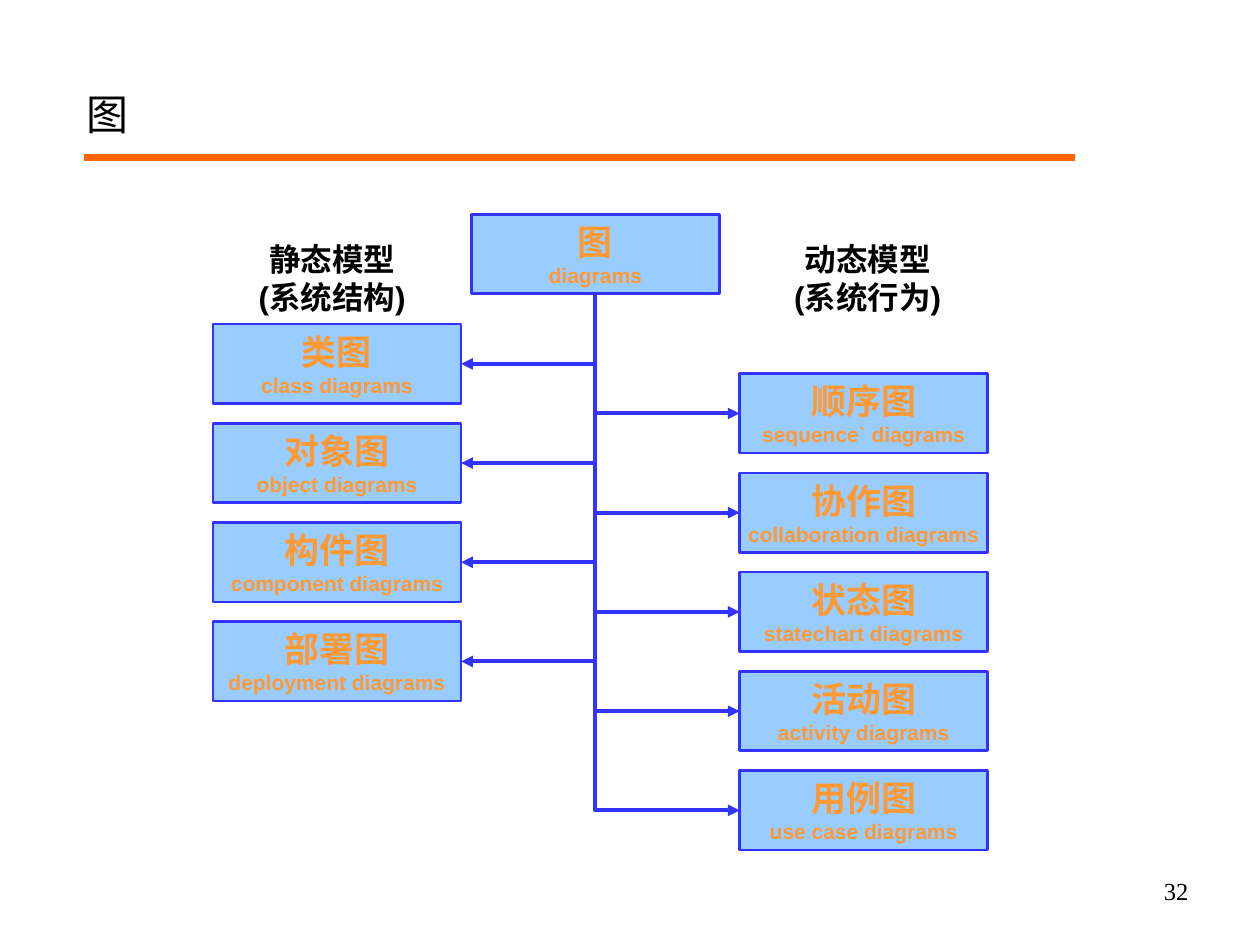
from collections import namedtuple

from lxml.etree import SubElement
from pptx import Presentation
from pptx.dml.color import RGBColor
from pptx.enum.shapes import MSO_CONNECTOR as Link, MSO_SHAPE as Shape
from pptx.enum.text import MSO_ANCHOR as Anchor, PP_ALIGN as Align
from pptx.oxml.ns import qn
from pptx.util import Inches, Pt

BLACK = RGBColor(0x00, 0x00, 0x00)
ORANGE = RGBColor(0xFF, 0x66, 0x00)
AMBER = RGBColor(0xFF, 0x99, 0x33)
BLUE = RGBColor(0x33, 0x33, 0xFF)
SKY = RGBColor(0x99, 0xCC, 0xFF)

WIDTH, HEIGHT = Inches(10), Inches(7.5)
PITCH = 10.5
NODE_WIDTH, NODE_HEIGHT = 19.7, 0.8 * PITCH
BOTTOM, LEFT, RIGHT = 2, 1, 3

Box = namedtuple("Box", "left top width height")

STATIC = [
    ("类图", "class diagrams"),
    ("对象图", "object diagrams"),
    ("构件图", "component diagrams"),
    ("部署图", "deployment diagrams"),
]
DYNAMIC = [
    ("顺序图", "sequence` diagrams"),
    ("协作图", "collaboration diagrams"),
    ("状态图", "statechart diagrams"),
    ("活动图", "activity diagrams"),
    ("用例图", "use case diagrams"),
]


def place(box):
    """Turn a box in percent of the slide into lengths."""
    return (
        int(box.left * WIDTH / 100),
        int(box.top * HEIGHT / 100),
        int(box.width * WIDTH / 100),
        int(box.height * HEIGHT / 100),
    )


def write(para, text, size, font="Arial", color=BLACK, bold=False, align=Align.CENTER):
    """Fill a paragraph with formatted text, one line for each line of the text."""
    para.alignment = align
    for number, line in enumerate(text.split("\n")):
        if number:
            para.add_line_break()
        span = para.add_run()
        span.text = line
        span.font.size = Pt(size)
        span.font.name = font
        span.font.bold = bold
        span.font.color.rgb = color


def add_text(page, box, text, size, anchor=Anchor.TOP, space=0, **style):
    """Add a wrapped text box with one paragraph."""
    frame = page.shapes.add_textbox(*place(box)).text_frame
    frame.word_wrap = True
    frame.vertical_anchor = anchor
    para = frame.paragraphs[0]
    para.space_before = Pt(space)
    write(para, text, size, **style)


def style_line(line, color, width):
    """Colour a connector, set its width and remove its shadow."""
    line.line.color.rgb = color
    line.line.width = Pt(width)
    SubElement(line._element.spPr, qn("a:effectLst"))


def add_title(page, box, text):
    """Add the title and the rule beneath it."""
    add_text(page, box, text, 24, anchor=Anchor.MIDDLE, font="Times New Roman", align=Align.LEFT)
    left, top, width, height = place(Box(6.7, 16.67, 78.6, 0))
    rule = page.shapes.add_connector(Link.STRAIGHT, left, top, left + width, top)
    style_line(rule, ORANGE, 4)


def add_node(page, box, name, english):
    """Add a diagram type with its two names."""
    node = page.shapes.add_shape(Shape.RECTANGLE, *place(box))
    node.shadow.inherit = False
    node.fill.solid()
    node.fill.fore_color.rgb = SKY
    node.line.color.rgb = BLUE
    node.line.width = Pt(1.5)
    frame = node.text_frame
    frame.word_wrap = False
    frame.vertical_anchor = Anchor.MIDDLE
    write(frame.paragraphs[0], name, 20, color=AMBER, bold=True)
    write(frame.add_paragraph(), english, 12, color=AMBER, bold=True)
    return node


def add_branch(page, root, node, side):
    """Join the bottom of the root to a side of the node with one bend."""
    start_x, start_y = root.left + root.width // 2, root.top + root.height
    end_x = node.left if side == LEFT else node.left + node.width
    end_y = node.top + node.height // 2
    drop, run = end_y - start_y, abs(end_x - start_x)
    branch = page.shapes.add_connector(Link.ELBOW, start_x, start_y, end_x, end_y)
    branch.begin_connect(root, BOTTOM)
    branch.end_connect(node, side)
    branch.left = (start_x + end_x - drop) // 2
    branch.top = (start_y + end_y - run) // 2
    branch.width, branch.height = drop, run
    properties = branch._element.spPr
    turn = properties.find(qn("a:xfrm"))
    turn.set("rot", "16200000" if side == LEFT else "5400000")
    turn.set("flipH", "1" if side == LEFT else "0")
    properties.find(qn("a:prstGeom")).set("prst", "bentConnector2")
    style_line(branch, BLUE, 2.25)
    SubElement(branch.line._get_or_add_ln(), qn("a:tailEnd"), type="triangle")


def add_model(page, box, root, diagrams, side):
    """Stack the diagrams of one model in a box and join each to the root."""
    pitch = box.height / len(diagrams)
    for row, names in enumerate(diagrams):
        cell = Box(box.left, box.top + row * pitch, box.width, 0.8 * pitch)
        add_branch(page, root, add_node(page, cell, *names), side)


def main():
    """Build the slide and save it."""
    deck = Presentation()
    deck.slide_width, deck.slide_height = WIDTH, HEIGHT
    page = deck.slides.add_slide(deck.slide_layouts[6])

    add_title(page, Box(5.9, 3.7, 85, 16.7), "图")
    root = add_node(page, Box(37.4, 22.7, NODE_WIDTH, NODE_HEIGHT), "图", "diagrams")
    models = [
        (16.9, 34.3, STATIC, RIGHT, 16.9, "静态模型\n(系统结构)"),
        (58.7, 34.3 + PITCH / 2, DYNAMIC, LEFT, 59.4, "动态模型\n(系统行为)"),
    ]
    for left, top, diagrams, side, heading_left, heading in models:
        box = Box(left, top, NODE_WIDTH, PITCH * len(diagrams))
        add_model(page, box, root, diagrams, side)
        add_text(page, Box(heading_left, 24.8, 18.9, 9.3), heading, 18, space=11.2, bold=True)
    number = Box(72, 92, 23.3, 5.9)
    add_text(page, number, "32", 14, font="Times New Roman", align=Align.RIGHT)

    deck.save("out.pptx")


if __name__ == "__main__":
    main()
